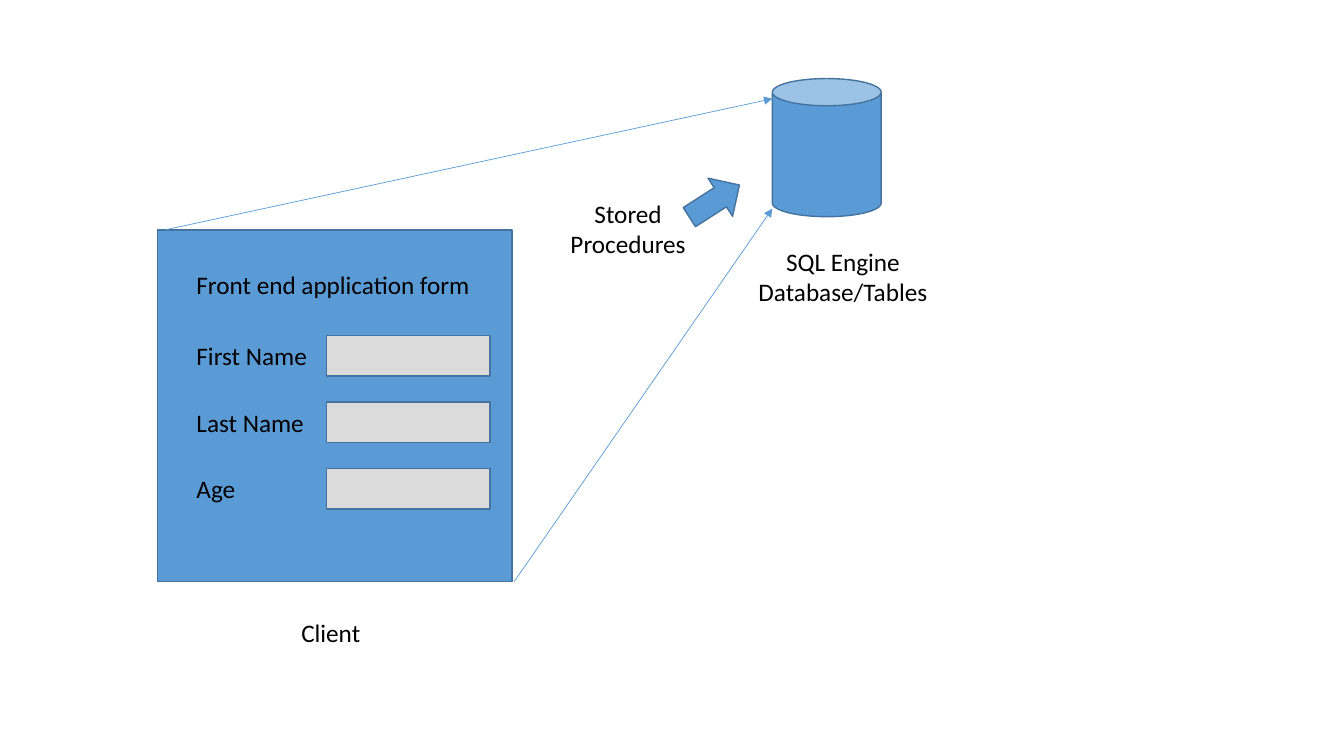
from dataclasses import dataclass

from lxml import etree
from pptx import Presentation
from pptx.dml.color import RGBColor
from pptx.enum.shapes import MSO_CONNECTOR, MSO_SHAPE
from pptx.enum.text import MSO_AUTO_SIZE, PP_ALIGN
from pptx.oxml.ns import qn
from pptx.util import Inches, Pt

RECTANGLE = MSO_SHAPE.RECTANGLE
CAN = MSO_SHAPE.CAN
RIGHT_ARROW = MSO_SHAPE.RIGHT_ARROW
STRAIGHT = MSO_CONNECTOR.STRAIGHT
GROW = MSO_AUTO_SIZE.SHAPE_TO_FIT_TEXT
LEFT = PP_ALIGN.LEFT
CENTER = PP_ALIGN.CENTER


@dataclass(frozen=True)
class Theme:
    font: str = "Calibri"
    body: float = 18
    outline_width: float = 1
    link_width: float = 0.5
    ink: RGBColor = RGBColor.from_string("000000")
    blue: RGBColor = RGBColor.from_string("5B9BD5")
    outline: RGBColor = RGBColor.from_string("43739E")
    field: RGBColor = RGBColor.from_string("DBDBDB")


THEME = Theme()


def add_text(slide, text, left, top, width, height=0.4, align=LEFT):
    label = slide.shapes.add_textbox(
        Inches(left), Inches(top), Inches(width), Inches(height))
    frame = label.text_frame
    frame.word_wrap = True
    frame.auto_size = GROW
    paragraph = frame.paragraphs[0]
    paragraph.text = text
    paragraph.alignment = align
    paragraph.font.name = THEME.font
    paragraph.font.size = Pt(THEME.body)
    paragraph.font.color.rgb = THEME.ink


def add_block(slide, kind, left, top, width, height, fill=THEME.blue):
    block = slide.shapes.add_shape(
        kind, Inches(left), Inches(top), Inches(width), Inches(height))
    block.shadow.inherit = False
    block.fill.solid()
    block.fill.fore_color.rgb = fill
    block.line.color.rgb = THEME.outline
    block.line.width = Pt(THEME.outline_width)
    return block


def add_link(slide, start, end):
    link = slide.shapes.add_connector(
        STRAIGHT, *(Inches(value) for value in (*start, *end)))
    link.line.color.rgb = THEME.blue
    link.line.width = Pt(THEME.link_width)
    properties = link._element.spPr
    etree.SubElement(properties.find(qn("a:ln")), qn("a:tailEnd"), type="triangle")
    etree.SubElement(properties, qn("a:effectLst"))


def add_client(slide, left, top, width, height):
    add_block(slide, RECTANGLE, left, top, width, height)
    add_text(slide, "Front end application form", left + 0.29, top + 0.34, 3.11)
    for row, caption in enumerate(("First Name", "Last Name", "Age")):
        row_top = top + 1.05 + row * 0.66
        add_text(slide, caption, left + 0.29, row_top, 1.78)
        add_block(slide, RECTANGLE, left + 1.68, row_top, 1.62, 0.4, THEME.field)
    add_text(slide, "Client", left + 1.33, top + height + 0.31, 1.03)


def add_database(slide, left, top, width, height):
    add_block(slide, CAN, left, top, width, height)
    add_text(slide, "SQL Engine Database/Tables", left - 0.34,
             top + height + 0.24, 2.08, 0.71, CENTER)


def add_procedures(slide, left, top):
    add_text(slide, "Stored Procedures", left, top + 0.15, 1.6, 0.71, CENTER)
    arrow = add_block(slide, RIGHT_ARROW, left + 1.36, top, 0.59, 0.45)
    arrow.rotation = 327.3


def main():
    presentation = Presentation()
    presentation.slide_width = Inches(13.33)
    presentation.slide_height = Inches(7.5)
    slide = presentation.slides.add_slide(presentation.slide_layouts[6])
    add_client(slide, 1.56, 2.28, 3.52, 3.49)
    add_database(slide, 7.66, 0.78, 1.08, 1.37)
    add_link(slide, (5.1, 5.77), (7.66, 2.07))
    add_link(slide, (1.64, 2.28), (7.66, 0.98))
    add_procedures(slide, 5.43, 1.77)
    presentation.save("out.pptx")


if __name__ == "__main__":
    main()
